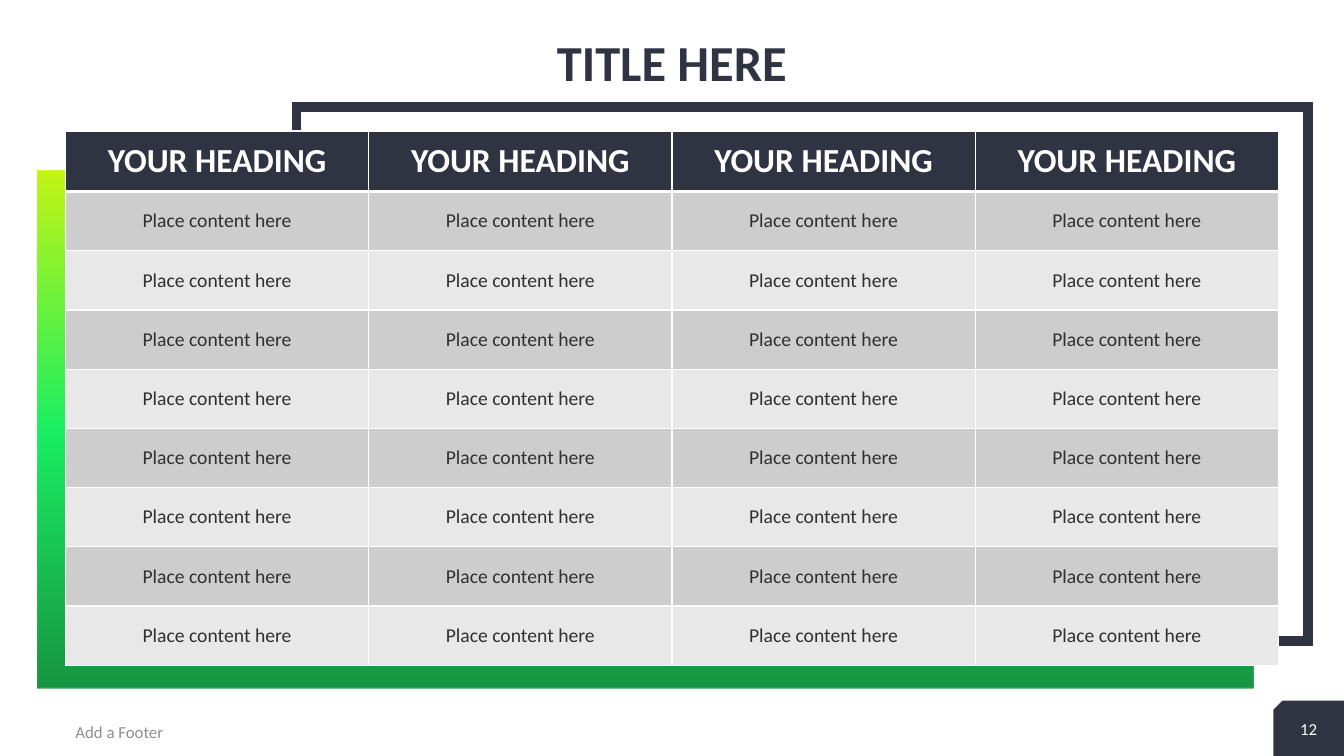
from dataclasses import dataclass

from lxml.etree import SubElement
from pptx import Presentation
from pptx.dml.color import RGBColor
from pptx.enum.shapes import MSO_SHAPE
from pptx.enum.text import MSO_ANCHOR, PP_ALIGN
from pptx.oxml.ns import qn
from pptx.util import Inches, Pt


@dataclass(frozen=True)
class Theme:
    font: str = "Calibri"
    navy: str = "2F3342"
    white: str = "FFFFFF"
    body: str = "303030"
    muted: str = "8F8F8F"
    bands: tuple = ("CDCDCD", "E8E8E8")
    panel_stops: tuple = ((0, "038B30"), (50, "05EE55"), (100, "C0F400"))
    panel_opacity: int = 91
    title_size: int = 36
    heading_size: int = 24
    body_size: int = 14
    small_size: int = 12


THEME = Theme()
HEADINGS = ["YOUR HEADING"] * 4
CONTENT = [["Place content here"] * 4] * 8


def write(frame, text, size, color, bold=False, align=PP_ALIGN.CENTER, spacing=None):
    frame.word_wrap = True
    frame.vertical_anchor = MSO_ANCHOR.MIDDLE
    paragraph = frame.paragraphs[0]
    paragraph.alignment = align
    if spacing:
        paragraph.line_spacing = spacing
    run = paragraph.add_run()
    run.text = text
    run.font.name = THEME.font
    run.font.size = Pt(size)
    run.font.bold = bold
    run.font.color.rgb = RGBColor.from_string(color)


def paint(fill, color):
    fill.solid()
    fill.fore_color.rgb = RGBColor.from_string(color)


def add_panel(slide, kind, left, top, width, height):
    """Add a mirrored shape without shadow, fill or line."""
    panel = slide.shapes.add_shape(
        kind, Inches(left), Inches(top), Inches(width), Inches(height))
    panel.shadow.inherit = False
    panel.fill.background()
    panel.line.fill.background()
    panel._element.spPr.find(qn("a:xfrm")).set("flipH", "1")
    return panel


def paint_gradient(panel):
    """Fill from dark green at the bottom to lime at the top."""
    panel.fill.gradient()
    panel.fill.gradient_angle = 90
    stops = panel._element.spPr.find(".//" + qn("a:gsLst"))
    for stop in list(stops):
        stops.remove(stop)
    for percent, color in THEME.panel_stops:
        stop = SubElement(stops, qn("a:gs"), pos=str(percent * 1000))
        shade = SubElement(stop, qn("a:srgbClr"), val=color)
        SubElement(shade, qn("a:alpha"), val=str(THEME.panel_opacity * 1000))


def add_backdrop(slide, left, top, width, height):
    """Place the outline and the gradient panel around the table's box."""
    outline = add_panel(slide, MSO_SHAPE.RECTANGLE,
                        left + 2.29, top - 0.24, width - 2, height)
    paint(outline.line.fill, THEME.navy)
    outline.line.width = Pt(7)
    SubElement(outline.line._ln, qn("a:miter"), lim="800000")
    gradient = add_panel(slide, MSO_SHAPE.RECTANGLE,
                         left - 0.28, top + 0.39, width + 0.03, height - 0.16)
    paint_gradient(gradient)


def add_borders(cell, top=1, bottom=1):
    properties = cell._tc.get_or_add_tcPr()
    for side, points in (("L", 1), ("R", 1), ("T", top), ("B", bottom)):
        border = SubElement(properties, qn(f"a:ln{side}"), w=str(Pt(points)))
        solid = SubElement(border, qn("a:solidFill"))
        SubElement(solid, qn("a:srgbClr"), val=THEME.white)


def add_content_table(slide, left, top, width, height):
    rows = [HEADINGS, *CONTENT]
    table = slide.shapes.add_table(
        len(rows), len(HEADINGS),
        Inches(left), Inches(top), Inches(width), Inches(height)).table
    table.horz_banding = False
    heading_height = 0.6
    content_height = (height - heading_height) / len(CONTENT)
    for r, texts in enumerate(rows):
        is_heading = r == 0
        table.rows[r].height = Inches(heading_height if is_heading else content_height)
        for c, text in enumerate(texts):
            cell = table.cell(r, c)
            cell.margin_left = cell.margin_right = Inches(0.07)
            cell.margin_top = cell.margin_bottom = Inches(0.04)
            cell.vertical_anchor = MSO_ANCHOR.MIDDLE
            add_borders(cell, top=3 if r == 1 else 1, bottom=3 if is_heading else 1)
            if is_heading:
                paint(cell.fill, THEME.navy)
                write(cell.text_frame, text, THEME.heading_size, THEME.white, bold=True)
            else:
                paint(cell.fill, THEME.bands[(r - 1) % 2])
                write(cell.text_frame, text, THEME.body_size, THEME.body)


def add_title(slide, left, top, width, height):
    title = slide.shapes.title
    title.left, title.top = Inches(left), Inches(top)
    title.width, title.height = Inches(width), Inches(height)
    write(title.text_frame, "TITLE HERE", THEME.title_size, THEME.navy,
          bold=True, spacing=0.9)


def add_label(slide, left, top, width, height, text, **style):
    label = slide.shapes.add_textbox(
        Inches(left), Inches(top), Inches(width), Inches(height))
    write(label.text_frame, text, THEME.small_size, **style)


def add_footer(slide, left, top, width, height):
    """Place the footer text and the page tab in the strip's right corner."""
    tab_width = 0.7
    tab_left = left + width - tab_width
    tab = add_panel(slide, MSO_SHAPE.SNIP_1_RECTANGLE, tab_left, top, tab_width, height)
    paint(tab.fill, THEME.navy)
    add_label(slide, left, top + 0.11, 4.5, 0.4, "Add a Footer",
              color=THEME.muted, align=PP_ALIGN.LEFT)
    add_label(slide, tab_left, top + 0.06, tab_width, 0.45, "12", color=THEME.white)


def build_table_slide(deck):
    slide = deck.slides.add_slide(deck.slide_layouts[5])
    table_box = (0.65, 1.3, 12.03, 5.3)
    add_title(slide, 0.65, 0, 12.03, 1.3)
    add_backdrop(slide, *table_box)
    add_content_table(slide, *table_box)
    add_footer(slide, 0.65, 6.95, 12.68, 0.55)


def main():
    deck = Presentation()
    deck.slide_width, deck.slide_height = Inches(13.33), Inches(7.5)
    build_table_slide(deck)
    deck.save("out.pptx")


if __name__ == "__main__":
    main()
